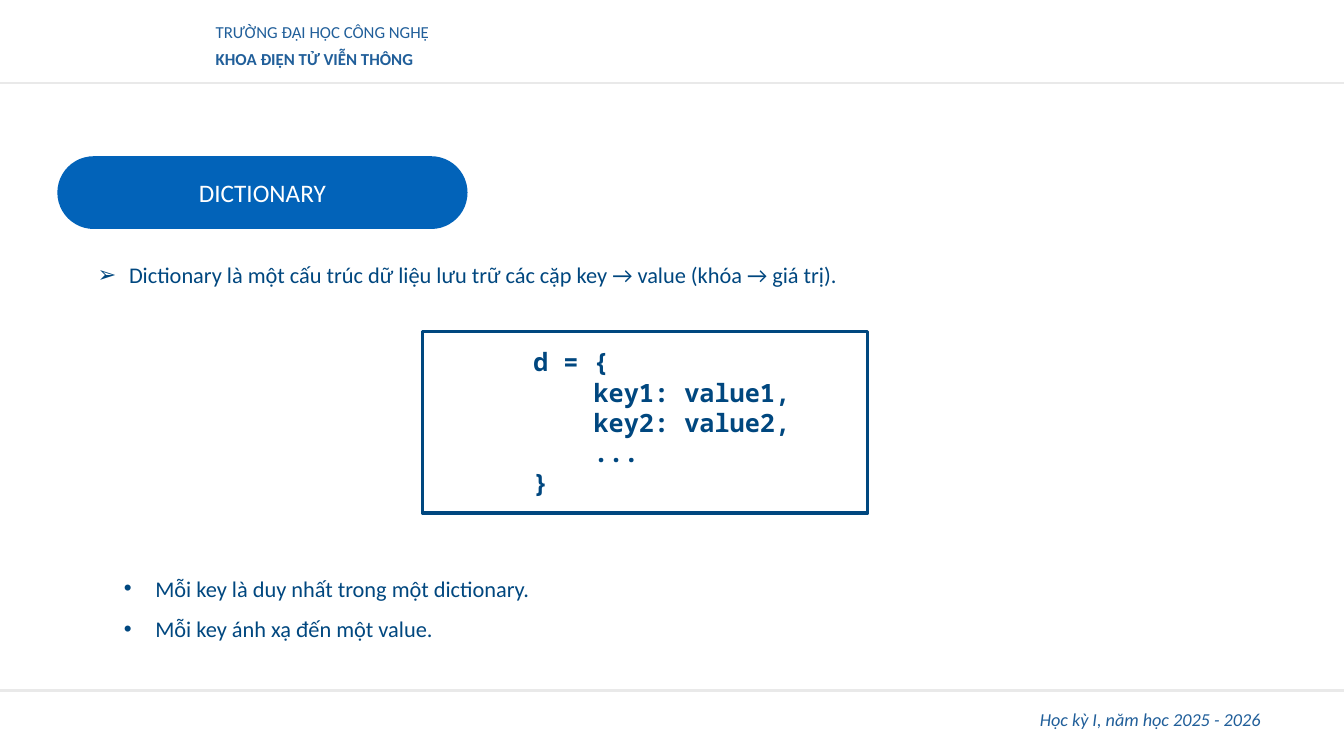
from dataclasses import dataclass, field

from lxml.etree import SubElement
from pptx import Presentation
from pptx.dml.color import RGBColor
from pptx.enum.shapes import MSO_CONNECTOR, MSO_SHAPE
from pptx.enum.text import MSO_ANCHOR as Anchor, MSO_AUTO_SIZE as AutoSize, PP_ALIGN as Align
from pptx.oxml.ns import qn
from pptx.slide import Slide
from pptx.text.text import TextFrame
from pptx.util import Pt

SLIDE_WIDTH, SLIDE_HEIGHT = 960, 540
COLORS = {
    "rule": "E9E9E9",
    "school": "215F9A",
    "title_fill": "0263B9",
    "title_text": "FFFFFF",
    "body": "00477F",
}


@dataclass(frozen=True)
class TextStyle:
    """Character format plus paragraph format, lengths in points."""
    color: str
    font: dict
    paragraph: dict = field(default_factory=dict)
    margin: float = 0
    indent: float = 0
    bullet: str = ""


@dataclass(frozen=True)
class TextBlock:
    """A text box, or a preset shape when one is given."""
    left: float
    top: float
    width: float
    height: float
    lines: tuple[str, ...]
    style: TextStyle
    frame: dict = field(default_factory=dict)
    preset: MSO_SHAPE | None = None
    fill: str = ""
    border: str = ""


def rgb(name: str) -> RGBColor:
    return RGBColor.from_string(COLORS[name])


def set_all(target: object, values: dict) -> None:
    for name, value in values.items():
        setattr(target, name, value)


def write_lines(frame: TextFrame, lines: tuple[str, ...], style: TextStyle) -> None:
    for index, line in enumerate(lines):
        paragraph = frame.paragraphs[0] if index == 0 else frame.add_paragraph()
        set_all(paragraph, style.paragraph)
        properties = paragraph._p.get_or_add_pPr()
        properties.set("marL", str(Pt(style.margin)))
        properties.set("indent", str(Pt(style.indent)))
        if style.bullet:
            SubElement(properties, qn("a:buFont"), typeface="Arial")
            SubElement(properties, qn("a:buChar"), char=style.bullet)
        run = paragraph.add_run()
        run.text = line
        set_all(run.font, style.font)
        run.font.color.rgb = rgb(style.color)


def add_block(slide: Slide, block: TextBlock) -> None:
    place = [Pt(value) for value in (block.left, block.top, block.width, block.height)]
    if block.preset is None:
        shape = slide.shapes.add_textbox(*place)
    else:
        shape = slide.shapes.add_shape(block.preset, *place)
        shape.shadow.inherit = False
        if block.preset == MSO_SHAPE.ROUNDED_RECTANGLE:
            shape.adjustments[0] = 0.5
        if block.fill:
            shape.fill.solid()
            shape.fill.fore_color.rgb = rgb(block.fill)
        else:
            shape.fill.background()
        if block.border:
            shape.line.color.rgb = rgb(block.border)
            shape.line.width = Pt(2.25)
        else:
            shape.line.fill.background()
    set_all(shape.text_frame, {"word_wrap": True, **block.frame})
    write_lines(shape.text_frame, block.lines, block.style)


def add_rule(slide: Slide, top: float) -> None:
    rule = slide.shapes.add_connector(
        MSO_CONNECTOR.STRAIGHT, Pt(0), Pt(top), Pt(SLIDE_WIDTH), Pt(top))
    rule.line.color.rgb = rgb("rule")
    rule.line.width = Pt(1.5)
    SubElement(rule._element.spPr, qn("a:effectLst"))


def calibri(size: float, **extra: bool) -> dict:
    return {"name": "Calibri", "size": Pt(size), **extra}


def bullet_style(bullet: str) -> TextStyle:
    return TextStyle("body", calibri(16), {"alignment": Align.JUSTIFY, "line_spacing": 1.5},
                     margin=22.5, indent=-22.5, bullet=bullet)


HEADER_PARAGRAPH = {"line_spacing": 0.9}
SCHOOL = TextStyle("school", calibri(12), HEADER_PARAGRAPH)
FACULTY = TextStyle("school", calibri(12, bold=True), HEADER_PARAGRAPH)
TERM = TextStyle("school", calibri(13, italic=True), {"alignment": Align.RIGHT})
TITLE = TextStyle("title_text", calibri(18), {"alignment": Align.CENTER})
CODE = TextStyle("body", {"name": "Noto Sans Mono", "size": Pt(18), "bold": True},
                 {"alignment": Align.JUSTIFY, "level": 2}, margin=72)

MIDDLE = {"vertical_anchor": Anchor.MIDDLE}
GROW = {"auto_size": AutoSize.SHAPE_TO_FIT_TEXT}

BLOCKS = (
    # Header and footer
    TextBlock(147, 13.7, 233, 25, ("TRƯỜNG ĐẠI HỌC CÔNG NGHỆ",), SCHOOL),
    TextBlock(147, 33.1, 225, 25, ("KHOA ĐIỆN TỬ VIỄN THÔNG",), FACULTY),
    TextBlock(672, 499, 235.4, 29, ("Học kỳ I, năm học 2025 - 2026",), TERM, MIDDLE),
    # Title pill
    TextBlock(41, 111.6, 293, 52, ("DICTIONARY",), TITLE, MIDDLE,
              preset=MSO_SHAPE.ROUNDED_RECTANGLE, fill="title_fill"),
    # Definition
    TextBlock(62.6, 173.5, 797, 33,
              ("Dictionary là một cấu trúc dữ liệu lưu trữ các cặp "
               "key → value (khóa → giá trị).",), bullet_style("➢"), GROW),
    # Syntax frame
    TextBlock(301.7, 236.9, 318.2, 129.6,
              ("d = {", "    key1: value1,", "    key2: value2,", "    ...", "}"),
              CODE, MIDDLE, preset=MSO_SHAPE.RECTANGLE, border="body"),
    # Properties
    TextBlock(81.4, 397.4, 797, 62,
              ("Mỗi key là duy nhất trong một dictionary.", "Mỗi key ánh xạ đến một value."),
              bullet_style("•"), GROW),
)
RULE_TOPS = (59, 493.2)


def main() -> None:
    presentation = Presentation()
    presentation.slide_width = Pt(SLIDE_WIDTH)
    presentation.slide_height = Pt(SLIDE_HEIGHT)
    slide = presentation.slides.add_slide(presentation.slide_layouts[6])
    for top in RULE_TOPS:
        add_rule(slide, top)
    for block in BLOCKS:
        add_block(slide, block)
    presentation.save("out.pptx")


if __name__ == "__main__":
    main()
